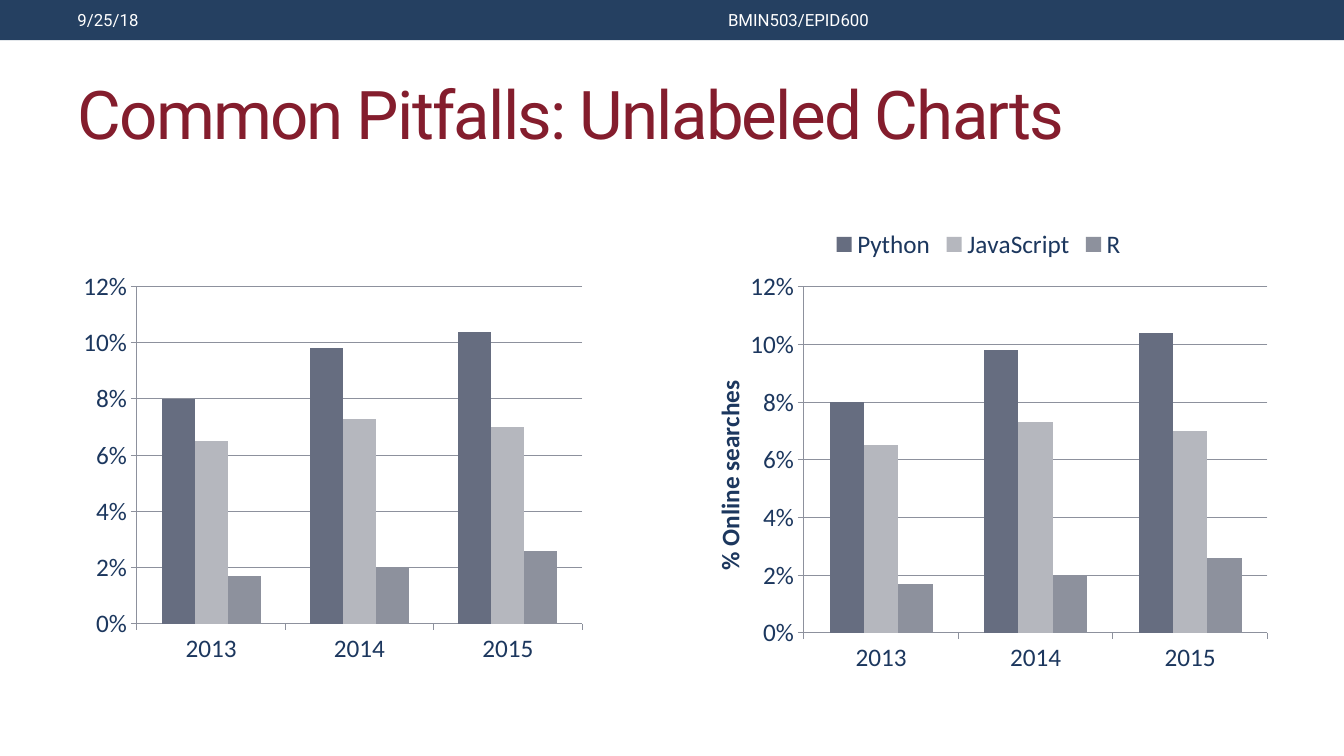
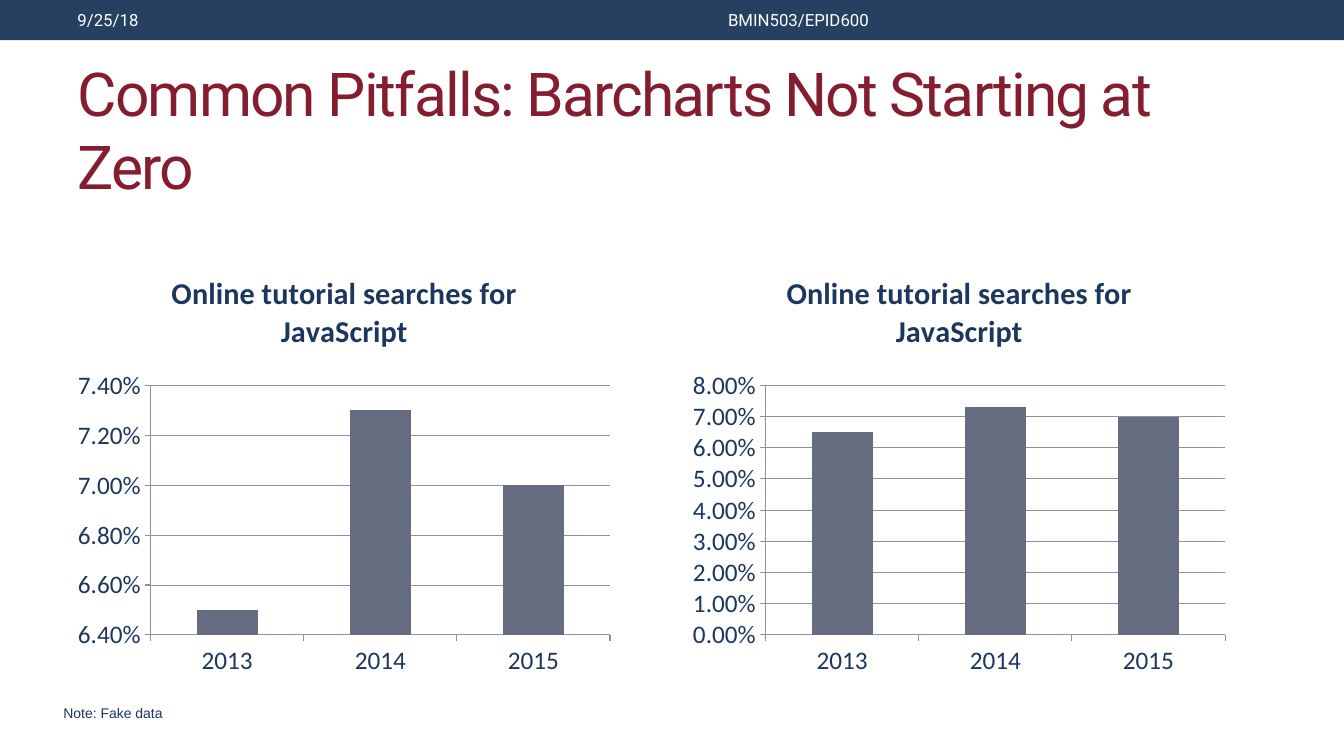
"""Build two slides on common chart pitfalls."""
from lxml import etree
from pptx import Presentation
from pptx.chart.data import CategoryChartData
from pptx.dml.color import RGBColor
from pptx.enum.chart import XL_CHART_TYPE as ChartType
from pptx.enum.chart import XL_LEGEND_POSITION as LegendPosition
from pptx.enum.chart import XL_TICK_MARK as TickMark
from pptx.enum.shapes import MSO_SHAPE as Shape
from pptx.enum.text import MSO_ANCHOR as Anchor
from pptx.enum.text import MSO_AUTO_SIZE as AutoSize
from pptx.enum.text import PP_ALIGN as Align
from pptx.oxml.ns import qn
from pptx.util import Inches, Pt

NAVY = RGBColor(0x25, 0x40, 0x61)
INK = RGBColor(0x1C, 0x37, 0x5E)
MAROON = RGBColor(0x84, 0x1D, 0x2D)
WHITE = RGBColor(0xFF, 0xFF, 0xFF)
SLATE = RGBColor(0x66, 0x6D, 0x80)
SILVER = RGBColor(0xB5, 0xB7, 0xBE)
GRAY = RGBColor(0x8D, 0x91, 0x9D)

YEARS = ["2013", "2014", "2015"]
SEARCHES = {
    "Python": [0.08, 0.098, 0.104],
    "JavaScript": [0.065, 0.073, 0.07],
    "R": [0.017, 0.02, 0.026],
}
JAVASCRIPT = {"JavaScript": SEARCHES["JavaScript"]}
TUTORIALS = "Online tutorial searches for JavaScript"


def add_label(slide, text, box, size, font_name, color, align=Align.LEFT, wrap=True):
    label = slide.shapes.add_textbox(*map(Inches, box))
    frame = label.text_frame
    frame.word_wrap = wrap
    frame.vertical_anchor = Anchor.MIDDLE
    frame.text = text
    frame.paragraphs[0].alignment = align
    font = frame.paragraphs[0].runs[0].font
    font.size, font.name, font.color.rgb = Pt(size), font_name, color


def place_in_chart(part, index, **fractions):
    for old in part.findall(qn("c:layout")):
        part.remove(old)
    layout = etree.Element(qn("c:layout"))
    manual = etree.SubElement(layout, qn("c:manualLayout"))
    if "w" in fractions:
        etree.SubElement(manual, qn("c:layoutTarget")).set("val", "inner")
    for mode in ("xMode", "yMode"):
        etree.SubElement(manual, qn(f"c:{mode}")).set("val", "edge")
    for side, fraction in fractions.items():
        etree.SubElement(manual, qn(f"c:{side}")).set("val", str(fraction))
    part.insert(index, layout)


prs = Presentation()
prs.slide_width, prs.slide_height = Inches(13.33), Inches(7.5)
title_only = prs.slide_layouts[5]

pitfalls = [
    {
        "title": "Common Pitfalls: Unlabeled Charts", "top": 0.58, "size": 48,
        "charts": [
            {"box": (0.53, 2.5, 5.52, 4.29), "plot": (0.15, 0.08, 0.8, 0.78),
             "data": SEARCHES, "scale": (0, 0.12, 0.02), "format": "0%"},
            {"box": (6.72, 2.15, 5.97, 4.64), "plot": (0.21, 0.15, 0.77, 0.74),
             "data": SEARCHES, "scale": (0, 0.12, 0.02), "format": "0%",
             "axis_title": "% Online searches"},
        ],
    },
    {
        "title": "Common Pitfalls: Barcharts Not Starting at Zero", "top": 0.74, "size": 43.2,
        "charts": [
            {"box": (left, 2.5, 5.49, 4.27), "plot": (0.15, 0.31, 0.83, 0.58),
             "data": JAVASCRIPT, "scale": scale, "format": "0.00%", "heading": TUTORIALS}
            for left, scale in [(0.67, (0.064, 0.074, 0.002)), (6.77, (0, 0.08, 0.01))]
        ],
        "note": "Note: Fake data",
    },
]

for number, pitfall in enumerate(pitfalls):
    slide = prs.slides.add_slide(title_only)
    if number == 0:
        band = slide.shapes.add_shape(Shape.RECTANGLE, 0, 0, prs.slide_width, Inches(0.4))
        band.shadow.inherit = False
        band.fill.solid()
        band.fill.fore_color.rgb = NAVY
        band.line.fill.background()
        title_only.shapes.element.insert(2, band.element)

    title = slide.shapes.title
    title.left, title.top = Inches(0.67), Inches(pitfall["top"])
    title.width, title.height = Inches(12), Inches(1.08)
    frame = title.text_frame
    frame.text = pitfall["title"]
    frame.word_wrap = True
    frame.auto_size = AutoSize.NONE
    frame.vertical_anchor = Anchor.MIDDLE
    frame.paragraphs[0].alignment = Align.LEFT
    run = frame.paragraphs[0].runs[0]
    run.font.size, run.font.name = Pt(pitfall["size"]), "Roboto"
    run.font.color.rgb = MAROON
    run._r.get_or_add_rPr().set("spc", "-130")

    add_label(slide, "9/25/18", (0.67, 0.02, 4.22, 0.36), 12, "Roboto", WHITE)
    add_label(slide, "BMIN503/EPID600", (4.92, 0.02, 6, 0.36), 12, "Roboto", WHITE, Align.CENTER)

    for spec_chart in pitfall["charts"]:
        data = CategoryChartData(number_format=spec_chart["format"])
        data.categories = YEARS
        for language, shares in spec_chart["data"].items():
            data.add_series(language, shares)
        box = map(Inches, spec_chart["box"])
        chart = slide.shapes.add_chart(ChartType.COLUMN_CLUSTERED, *box, data).chart
        chart.font.size, chart.font.name = Pt(18), "Calibri"
        chart.font.color.rgb = INK
        chart.has_legend = False

        columns = chart.plots[0]
        columns.vary_by_categories = False
        columns.gap_width, columns.overlap = 150, 0
        for series, color in zip(columns.series, (SLATE, SILVER, GRAY)):
            series.format.fill.solid()
            series.format.fill.fore_color.rgb = color

        years, shares_axis = chart.category_axis, chart.value_axis
        for axis in (years, shares_axis):
            axis.major_tick_mark = TickMark.OUTSIDE
            axis.minor_tick_mark = TickMark.NONE
            axis.format.line.color.rgb = GRAY
            axis.format.line.width = Pt(0.75)
        low, high, step = spec_chart["scale"]
        shares_axis.minimum_scale, shares_axis.maximum_scale = low, high
        shares_axis.major_unit = step
        shares_axis.tick_labels.number_format = spec_chart["format"]
        shares_axis.tick_labels.number_format_is_linked = False
        grid = shares_axis.major_gridlines.format.line
        grid.color.rgb, grid.width = GRAY, Pt(0.75)

        headings = []
        chart.has_title = "heading" in spec_chart
        if chart.has_title:
            headings.append((chart.chart_title, spec_chart["heading"], 21.6))
        if "axis_title" in spec_chart:
            headings.append((shares_axis.axis_title, spec_chart["axis_title"], 18))
            chart.has_legend = True
            chart.legend.position = LegendPosition.TOP
            chart.legend.include_in_layout = False
        for heading, text, size in headings:
            heading.text_frame.text = text
            font = heading.text_frame.paragraphs[0].runs[0].font
            font.size, font.name, font.bold = Pt(size), "Calibri", True
            font.color.rgb = INK
        if "axis_title" in spec_chart:
            place_in_chart(shares_axis.axis_title.element, 1, x=0.05, y=0.34)

        x, y, w, h = spec_chart["plot"]
        plot_area = chart.element.find(".//" + qn("c:plotArea"))
        place_in_chart(plot_area, 0, x=x, y=y, w=w, h=h)

    if "note" in pitfall:
        add_label(slide, pitfall["note"], (0.53, 6.94, 1.2, 0.27), 10, "Arial", INK, wrap=False)

prs.save("out.pptx")
